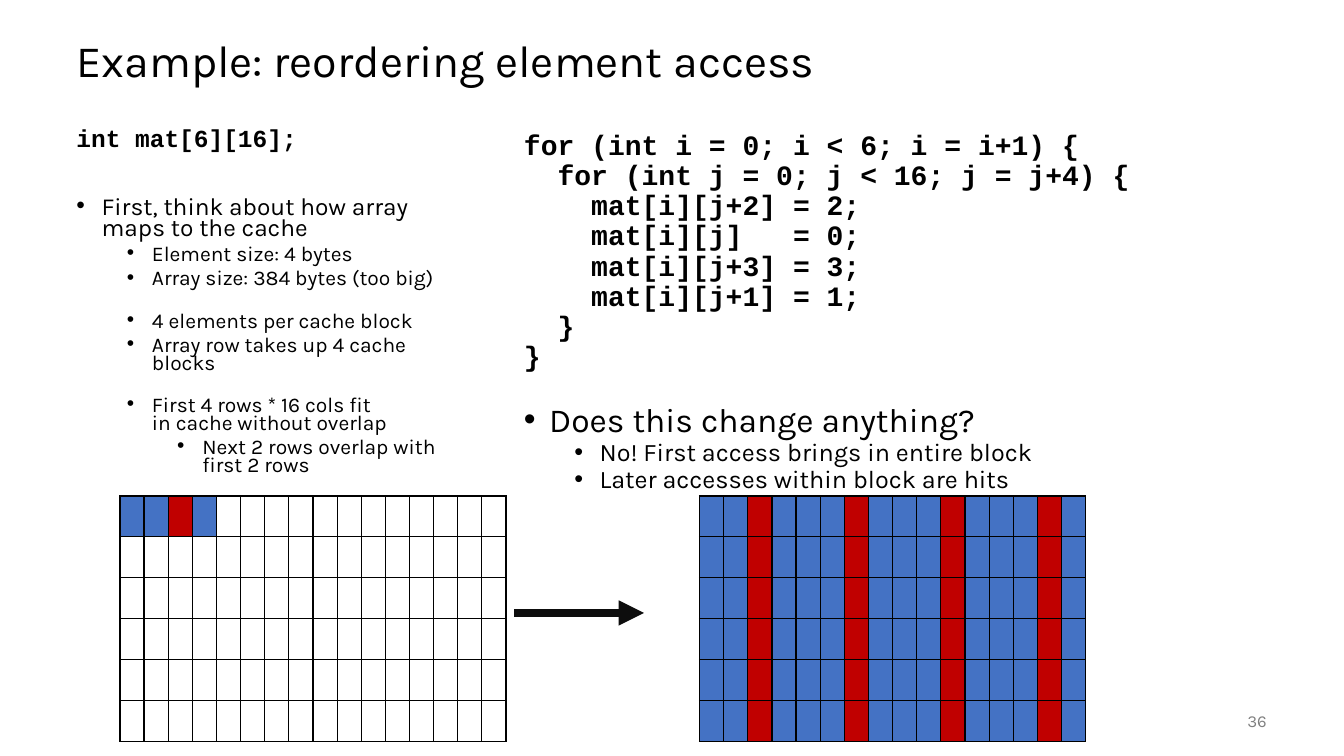
from lxml.etree import SubElement
from pptx import Presentation
from pptx.dml.color import RGBColor
from pptx.enum.shapes import MSO_CONNECTOR
from pptx.enum.text import MSO_ANCHOR, PP_ALIGN
from pptx.oxml import parse_xml
from pptx.oxml.ns import nsdecls, qn
from pptx.util import Pt

BLACK, GREY, WHITE = "000000", "808080", "FFFFFF"
BLUE, RED, ARROW = "4472C4", "C00000", "0D0D0D"
SANS, MONO = "Karla", "Courier New"

TITLE = [("Example: reordering element access", None, 0)]
NUMBER = [("36", None, 0)]
LOOP = [(line, None, 0) for line in (
    "for (int i = 0; i < 6; i = i+1) {",
    "  for (int j = 0; j < 16; j = j+4) {",
    "    mat[i][j+2] = 2;",
    "    mat[i][j]   = 0;",
    "    mat[i][j+3] = 3;",
    "    mat[i][j+1] = 1;",
    "  }",
    "}",
)] + [
    ("Does this change anything?", 0, 21.6),
    ("No! First access brings in entire block", 1, 0),
    ("Later accesses within block are hits", 1, 0),
]
MAPPING = [
    ("int mat[6][16];", None, 0),
    ("First, think about how array maps to the cache", 0, 34),
    ("Element size: 4 bytes", 1, 5),
    ("Array size: 384 bytes (too big)", 1, 5),
    ("4 elements per cache block", 1, 17.5),
    ("Array row takes up 4 cache blocks", 1, 5),
    ("First 4 rows * 16 cols fit\vin cache without overlap", 1, 17.5),
    ("Next 2 rows overlap with first 2 rows", 2, 5),
]

TITLE_STYLE = {None: dict(name=SANS, size=Pt(32), bold=False)}
NUMBER_STYLE = {None: dict(name=SANS, size=Pt(12), bold=False)}
LOOP_STYLE = {
    None: dict(name=MONO, size=Pt(20), bold=True),
    0: dict(name=SANS, size=Pt(24), bold=False),
    1: dict(name=SANS, size=Pt(18), bold=False),
}
SMALL = dict(name=SANS, size=Pt(15), bold=False)
MAPPING_STYLE = {
    None: dict(name=MONO, size=Pt(17.5), bold=True),
    0: dict(name=SANS, size=Pt(17.5), bold=False),
    1: SMALL,
    2: SMALL,
}

ROWS, COLUMNS, BLOCK = 6, 16, 4
CELL_WIDTH, CELL_HEIGHT = 16.38, 29.2
GRID_TOP = 354.24


def colour(code):
    return RGBColor.from_string(code)


def add_bullet(para, level):
    para.level = level
    props = para._p.get_or_add_pPr()
    props.set("marL", str(Pt(18 + 36 * level)))
    props.set("indent", str(Pt(-18)))
    SubElement(props, qn("a:buFont")).set("typeface", "Arial")
    SubElement(props, qn("a:buChar")).set("char", "•")


def add_text(page, place, lines, styles, spacing=1.0, ink=BLACK,
             anchor=MSO_ANCHOR.TOP, align=PP_ALIGN.LEFT):
    frame = page.shapes.add_textbox(*map(Pt, place)).text_frame
    frame.word_wrap = True
    frame.vertical_anchor = anchor
    for index, (text, level, before) in enumerate(lines):
        para = frame.paragraphs[0] if index == 0 else frame.add_paragraph()
        para.text = text
        para.alignment = align
        para.line_spacing = spacing
        if index:
            para.space_before = Pt(before)
        if level is not None:
            add_bullet(para, level)
        for span in para.runs:
            span.font.color.rgb = colour(ink)
            for key, value in styles[level].items():
                setattr(span.font, key, value)


def add_borders(cell):
    props = cell._tc.get_or_add_tcPr()
    for index, side in enumerate("LRTB"):
        props.insert(index, parse_xml(
            f'<a:ln{side} {nsdecls("a")} w="{Pt(1)}"><a:solidFill>'
            f'<a:srgbClr val="{BLACK}"/></a:solidFill></a:ln{side}>'))


def add_grid(page, left, loaded_rows, loaded_columns):
    table = page.shapes.add_table(
        ROWS, COLUMNS, Pt(left), Pt(GRID_TOP),
        Pt(CELL_WIDTH * COLUMNS), Pt(CELL_HEIGHT * ROWS)).table
    table.first_row = table.horz_banding = False
    for column in table.columns:
        column.width = Pt(CELL_WIDTH)
    for row in range(ROWS):
        table.rows[row].height = Pt(CELL_HEIGHT)
        for column in range(COLUMNS):
            loaded = row < loaded_rows and column < loaded_columns
            first_access = column % BLOCK == 2
            code = (RED if first_access else BLUE) if loaded else WHITE
            cell = table.cell(row, column)
            cell.fill.solid()
            cell.fill.fore_color.rgb = colour(code)
            add_borders(cell)


def add_arrow(page, left, right, top):
    arrow = page.shapes.add_connector(
        MSO_CONNECTOR.STRAIGHT, Pt(left), Pt(top), Pt(right), Pt(top))
    arrow.line.color.rgb = colour(ARROW)
    arrow.line.width = Pt(6)
    SubElement(arrow.line._get_or_add_ln(), qn("a:tailEnd")).set("type", "triangle")
    SubElement(arrow._element.spPr, qn("a:effectLst"))


def main():
    deck = Presentation()
    deck.slide_width, deck.slide_height = Pt(960), Pt(540)
    page = deck.slides.add_slide(deck.slide_layouts[6])
    add_text(page, (47.5, 18, 864, 54), TITLE, TITLE_STYLE, 0.9,
             anchor=MSO_ANCHOR.MIDDLE)
    add_text(page, (840, 500.5, 72, 28.8), NUMBER, NUMBER_STYLE, ink=GREY,
             anchor=MSO_ANCHOR.MIDDLE, align=PP_ALIGN.RIGHT)
    add_text(page, (367.2, 90, 545, 396), LOOP, LOOP_STYLE, 0.9)
    add_grid(page, 499.7, ROWS, COLUMNS)
    add_text(page, (47.5, 90, 283, 257), MAPPING, MAPPING_STYLE, 0.7)
    add_grid(page, 85.7, 1, BLOCK)
    add_arrow(page, 367.2, 460, 437.8)
    deck.save("out.pptx")


if __name__ == "__main__":
    main()
